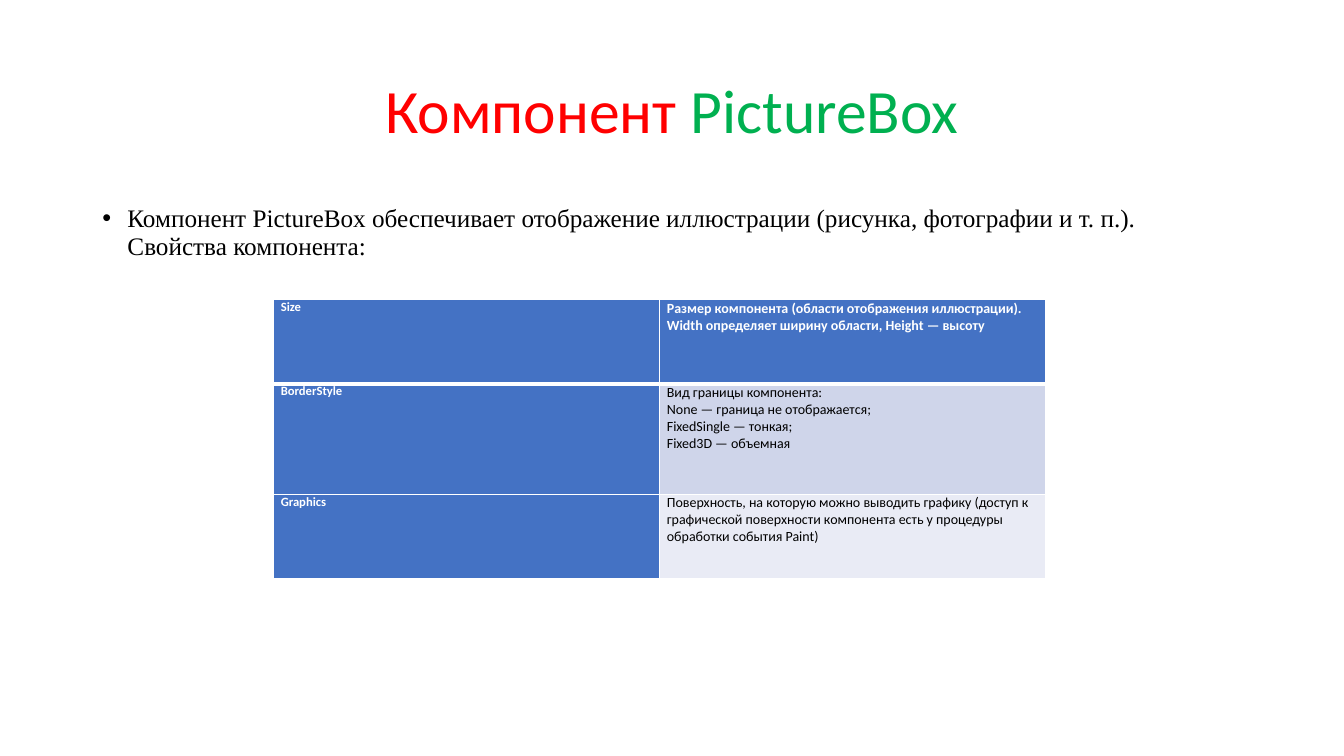
from lxml import etree
from pptx import Presentation
from pptx import util as u
from pptx.dml.color import RGBColor
from pptx.enum import text as t
from pptx.oxml import ns

Pt = u.Pt


def paint(font, size, color, name="Calibri", bold=False):
    font.size = Pt(size)
    font.name = name
    font.bold = bold
    font.color.rgb = RGBColor.from_string(color)


def edge(cell, side, width):
    props = cell._tc.get_or_add_tcPr()
    line = etree.SubElement(props, ns.qn("a:" + side), w=str(Pt(width)))
    fill = etree.SubElement(line, ns.qn("a:solidFill"))
    etree.SubElement(fill, ns.qn("a:srgbClr"), val="FFFFFF")


deck = Presentation()
deck.slide_width, deck.slide_height = Pt(960), Pt(540)
slide = deck.slides.add_slide(deck.slide_layouts[6])

title = slide.shapes.add_textbox(Pt(66), Pt(28.75), Pt(828), Pt(104.4)).text_frame
title.word_wrap = True
title.vertical_anchor = t.MSO_ANCHOR.MIDDLE
head = title.paragraphs[0]
head.alignment = t.PP_ALIGN.CENTER
head.line_spacing = 0.9
for word, color in [("Компонент ", "FF0000"), ("PictureBox", "00B050")]:
    run = head.add_run()
    run.text = word
    paint(run.font, 44, color)

body = slide.shapes.add_textbox(Pt(66), Pt(143.75), Pt(828), Pt(342.6)).text_frame
body.word_wrap = True
item = body.paragraphs[0]
item.line_spacing = 0.9
props = item._p.get_or_add_pPr()
props.set("marL", str(Pt(18)))
props.set("indent", str(-Pt(18)))
etree.SubElement(props, ns.qn("a:buFont"), typeface="Arial")
etree.SubElement(props, ns.qn("a:buChar"), char="•")
item.add_run().text = "Компонент PictureBox обеспечивает отображение иллюстрации (рисунка, фотографии и т. п.)."
item.add_line_break()
item.add_run().text = "Свойства компонента:"
for run in item.runs:
    paint(run.font, 18, "000000", "Times New Roman")

rows = [
    (60, "4472C4", "Size", ["Размер компонента (области отображения иллюстрации). Width определяет ширину области, Height — высоту"]),
    (79, "CFD5EA", "BorderStyle", ["Вид границы компонента:", "None — граница не отображается;", "FixedSingle — тонкая;", "Fixed3D — объемная"]),
    (60, "E9EBF5", "Graphics", ["Поверхность, на которую можно выводить графику (доступ к графической поверхности компонента есть у процедуры обработки события Paint)"]),
]
table = slide.shapes.add_table(3, 2, Pt(195.4), Pt(214.2), Pt(551.6), Pt(199)).table
for col in table.columns:
    col.width = Pt(275.8)
for r, (height, shade, name, lines) in enumerate(rows):
    table.rows[r].height = Pt(height)
    for c, texts in enumerate([[name], lines]):
        cell = table.cell(r, c)
        cell.margin_left = cell.margin_right = Pt(5.2)
        cell.margin_top = cell.margin_bottom = 0
        widths = {"lnL": 1, "lnR": 1, "lnT": 3 if r == 1 else 1, "lnB": 3 if r == 0 else 1}
        for side, width in widths.items():
            edge(cell, side, width)
        cell.fill.solid()
        cell.fill.fore_color.rgb = RGBColor.from_string(shade if c else "4472C4")
        cell.text_frame.text = "\n".join(texts)
        strong = r == 0 or c == 0
        for para in cell.text_frame.paragraphs:
            para.alignment = t.PP_ALIGN.LEFT if c else t.PP_ALIGN.JUSTIFY
            paint(para.runs[0].font, 10 if c else 9, "FFFFFF" if strong else "000000", bold=strong)

deck.save("out.pptx")
